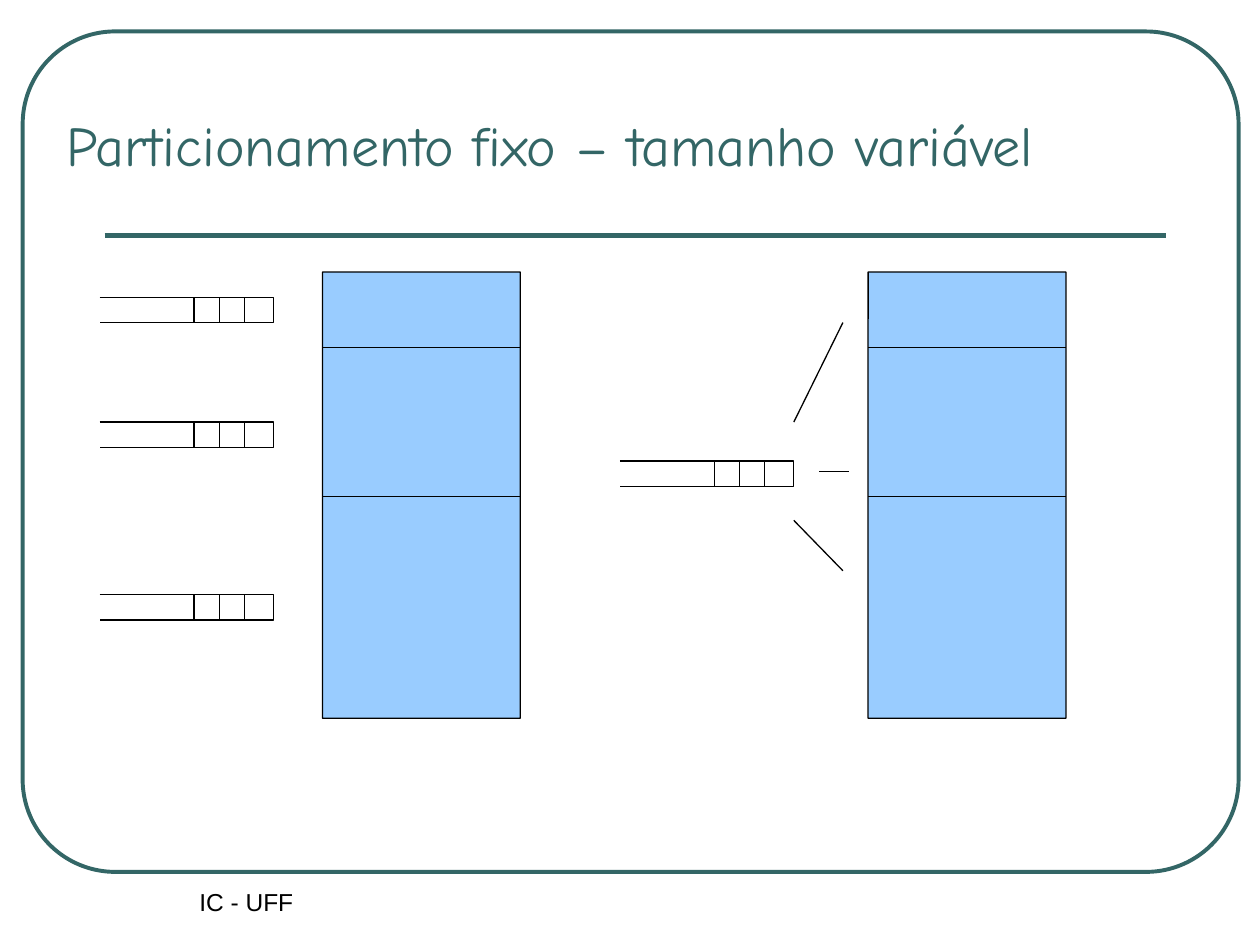
"""Build a slide comparing queues for fixed partitions of variable size."""
import pptx
import pptx.dml.color
import pptx.enum.shapes
import pptx.enum.text
import pptx.oxml.ns
import pptx.util
from lxml import etree
from pptx.util import Inches

TEAL = "336666"
BLUE = "99CCFF"
BLACK = "000000"


def color(value):
    return pptx.dml.color.RGBColor.from_string(value)


class SlideBuilder:
    def __init__(self, presentation):
        self.slide = presentation.slides.add_slide(presentation.slide_layouts[5])
        self.title_font = "Comic Neue"
        self.body_font = "Arial"
        self.thin = 0.75

    def outline(self, shape, line_color, width):
        shape.line.color.rgb = color(line_color)
        shape.line.width = pptx.util.Pt(width)

    def add_text(self, frame, text, font, size, text_color, alignment):
        frame.word_wrap = True
        frame.auto_size = pptx.enum.text.MSO_AUTO_SIZE.NONE
        paragraph = frame.paragraphs[0]
        paragraph.alignment = alignment
        run = paragraph.add_run()
        run.text = text
        run.font.name = font
        run.font.size = pptx.util.Pt(size)
        run.font.color.rgb = color(text_color)

    def title(self, text, left, top, width, height):
        shape = self.slide.shapes.title
        shape.left, shape.top = Inches(left), Inches(top)
        shape.width, shape.height = Inches(width), Inches(height)
        shape.text_frame.vertical_anchor = pptx.enum.text.MSO_ANCHOR.BOTTOM
        self.add_text(shape.text_frame, text, self.title_font, 32, TEAL,
                      pptx.enum.text.PP_ALIGN.LEFT)

    def footer(self, text, left, top, width, height):
        shape = self.slide.shapes.add_textbox(
            Inches(left), Inches(top), Inches(width), Inches(height))
        self.add_text(shape.text_frame, text, self.body_font, 14, BLACK,
                      pptx.enum.text.PP_ALIGN.CENTER)

    def box(self, left, top, width, height, radius, line_color, line_width, fill=None):
        shape = self.slide.shapes.add_shape(
            pptx.enum.shapes.MSO_SHAPE.ROUNDED_RECTANGLE,
            Inches(left), Inches(top), Inches(width), Inches(height))
        shape.adjustments[0] = radius
        shape.shadow.inherit = False
        if fill:
            shape.fill.solid()
            shape.fill.fore_color.rgb = color(fill)
        else:
            shape.fill.background()
        self.outline(shape, line_color, line_width)

    def line(self, x1, y1, x2, y2, line_color=BLACK, width=None):
        connector = self.slide.shapes.add_connector(
            pptx.enum.shapes.MSO_CONNECTOR.STRAIGHT,
            Inches(x1), Inches(y1), Inches(x2), Inches(y2))
        self.outline(connector, line_color, width or self.thin)
        etree.SubElement(connector.element.spPr, pptx.oxml.ns.qn("a:effectLst"))

    def memory(self, left):
        top, width, height = 2.16, 1.57, 3.54
        self.box(left, top, width, height, 0.001, BLACK, self.thin, BLUE)
        for boundary in (2.76, 3.94):
            self.line(left, boundary, left + width, boundary)

    def queue(self, left, top):
        right, bottom = left + 1.38, top + 0.2
        builder = self.slide.shapes.build_freeform(Inches(left), Inches(top))
        corners = [(right, top), (right, bottom), (left, bottom)]
        builder.add_line_segments(
            [(Inches(x), Inches(y)) for x, y in corners], close=False)
        shape = builder.convert_to_shape()
        shape.fill.background()
        shape.shadow.inherit = False
        self.outline(shape, BLACK, self.thin)
        for slot in range(3):
            x = left + 0.75 + 0.2 * slot
            self.line(x, top, x, bottom)


def main():
    presentation = pptx.Presentation()
    presentation.slide_width = Inches(10)
    presentation.slide_height = Inches(7.5)
    builder = SlideBuilder(presentation)

    builder.box(0.18, 0.25, 9.65, 6.67, 0.11, TEAL, 2.25)
    builder.line(0.83, 1.87, 9.25, 1.87, TEAL, 3)
    builder.footer("IC - UFF", 0.83, 6.99, 2.25, 0.5)
    builder.title("Particionamento fixo – tamanho variável", 0.43, 0.21, 8.97, 1.25)

    builder.memory(2.56)
    for queue_top in (2.36, 3.35, 4.72):
        builder.queue(0.79, queue_top)

    builder.memory(6.89)
    builder.queue(4.92, 3.66)
    builder.line(6.3, 3.35, 6.69, 2.56)
    builder.line(6.5, 3.74, 6.74, 3.74)
    builder.line(6.3, 4.13, 6.69, 4.53)

    presentation.save("out.pptx")


if __name__ == "__main__":
    main()
